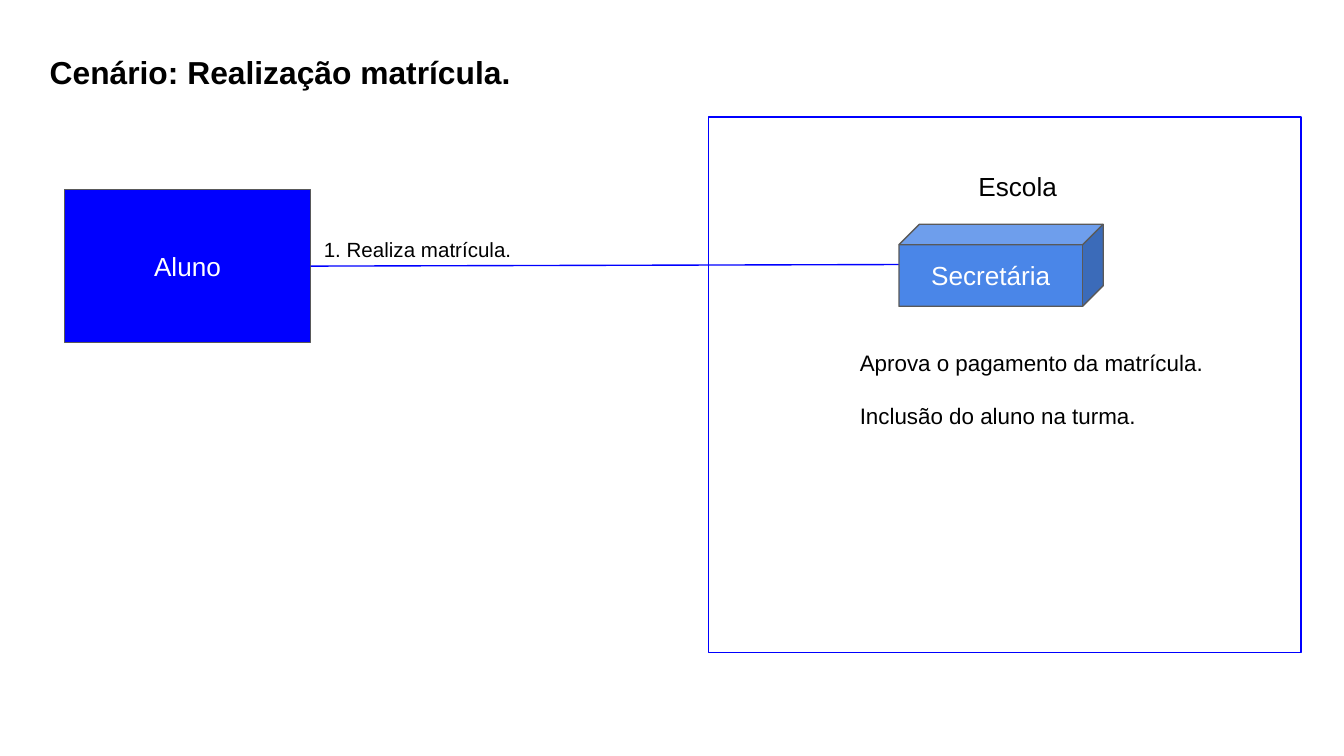
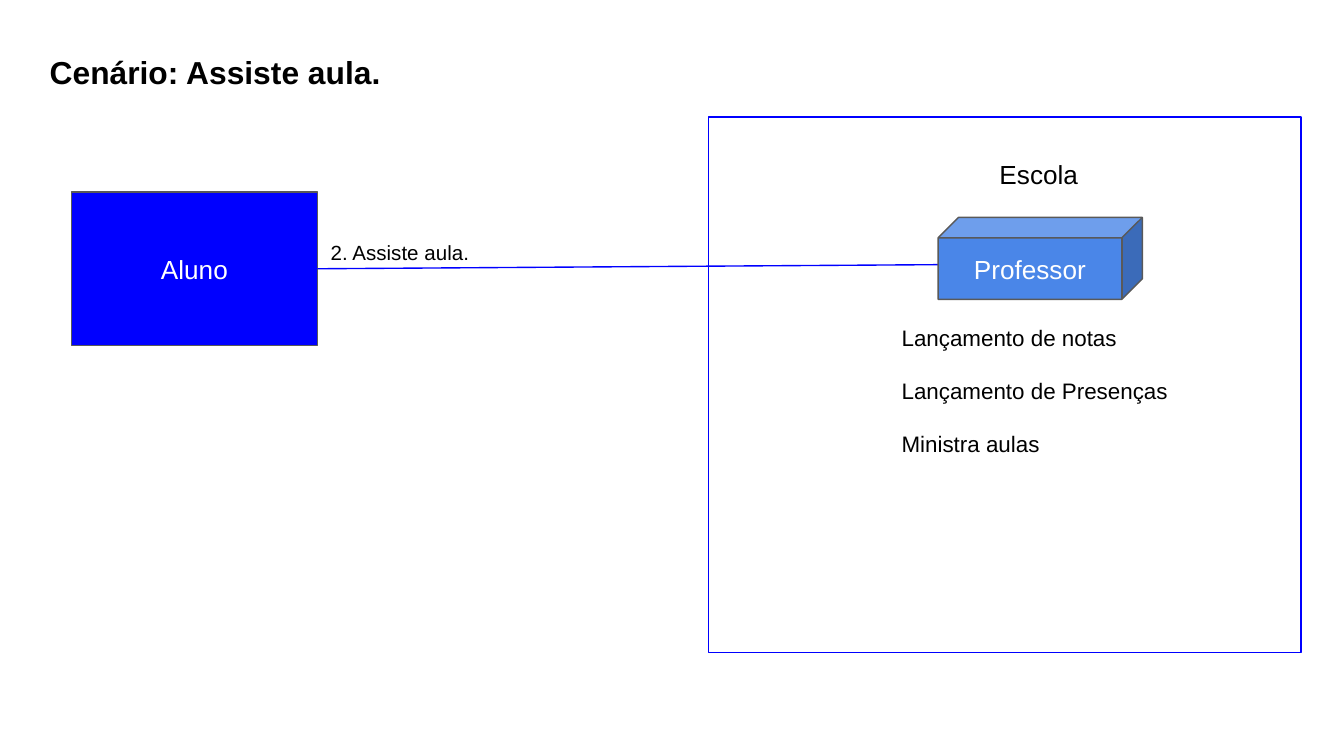
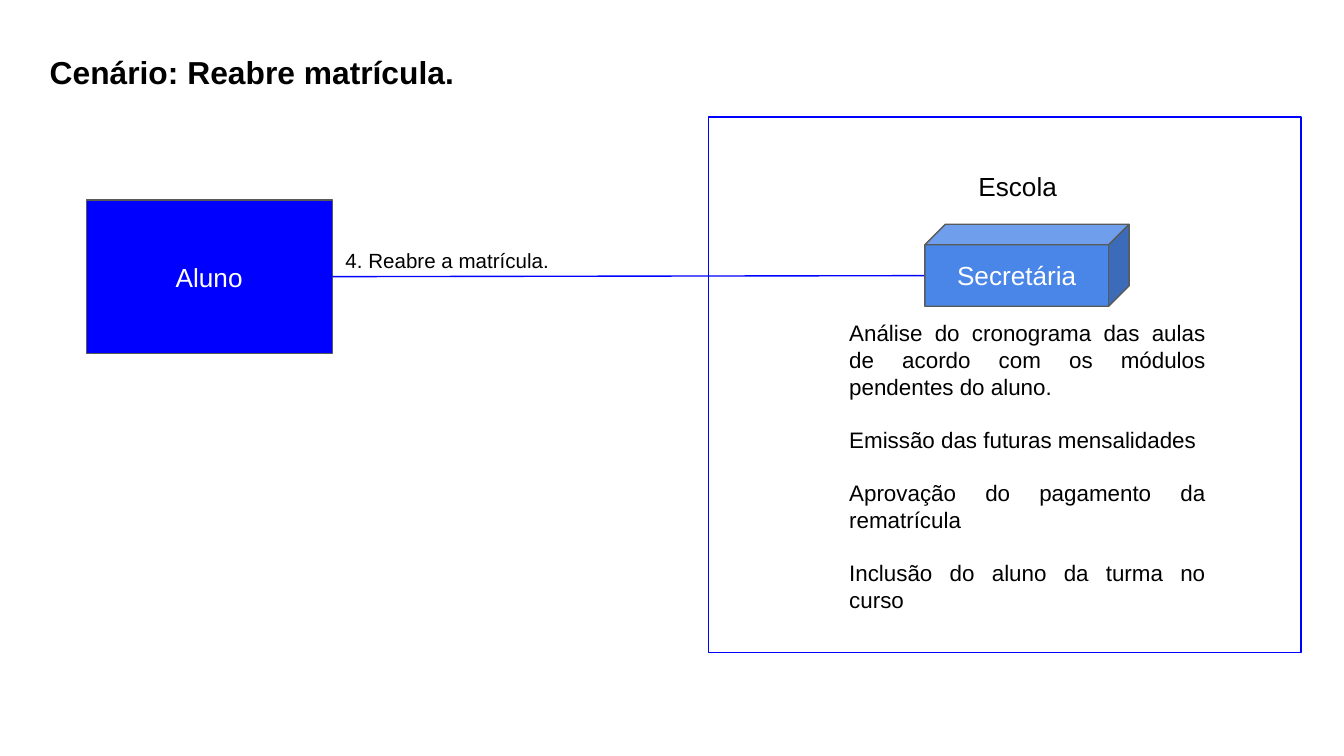
from lxml import etree
from pptx import Presentation
from pptx import util as u
from pptx.dml.color import RGBColor
from pptx.enum import shapes, text
from pptx.oxml.ns import qn

COLORS = {"white": "FFFFFF", "black": "000000", "blue": "0000FF",
          "sky": "4A86E8", "gray": "595959"}
FONT = "Arial"
INSET = 0.25
LINE_WIDTH = 0.75

# Sizes and fixed places, in centimetres
SLIDE_SIZE = (25.4, 14.29)
TITLE_AT = (0.69, 0.74)
TITLE_HEIGHT = 1.55
PANEL = (13.39, 2.21, 11.2, 10.13)
ACTOR_SIZE = (4.65, 2.9)
CUBE_SIZE = (3.86, 1.55)
LABEL_SIZE = (6.38, 1.17)
LABEL_DROP = 0.67
CAPTION_SIZE = (2.06, 1.75)

SCENARIOS = [
    dict(title="Cenário: Realização matrícula.", title_width=9.63,
         actor_at=(1.22, 3.58), action="1. Realiza matrícula.",
         caption_at=(18.24, 2.97), role="Secretária", role_at=(16.99, 4.24),
         link_end=(16.99, 5.0), tasks_box=(16.0, 6.35, 7.19, 1.75),
         align=text.PP_ALIGN.JUSTIFY,
         tasks=["Aprova o pagamento da matrícula.",
                "Inclusão do aluno na turma."]),
    dict(title="Cenário: Assiste aula.", title_width=9.63,
         actor_at=(1.35, 3.63), action="2. Assiste aula.",
         caption_at=(18.64, 2.74), role="Professor", role_at=(17.73, 4.11),
         link_end=(18.11, 5.0), tasks_box=(16.79, 5.87, 7.24, 1.27),
         align=text.PP_ALIGN.LEFT,
         tasks=["Lançamento de notas", "Lançamento de Presenças",
                "Ministra aulas"]),
    dict(title="Cenário: Reabre matrícula.", title_width=13.69,
         actor_at=(1.63, 3.78), action="4. Reabre a matrícula.",
         caption_at=(18.24, 2.97), role="Secretária", role_at=(17.48, 4.24),
         link_end=(17.48, 5.21), tasks_box=(15.8, 5.79, 7.24, 1.27),
         align=text.PP_ALIGN.JUSTIFY,
         tasks=["Análise do cronograma das aulas de acordo com os módulos "
                "pendentes do aluno.",
                "Emissão das futuras mensalidades",
                "Aprovação do pagamento da rematrícula",
                "Inclusão do aluno da turma no curso"]),
]


def rgb(name):
    return RGBColor.from_string(COLORS[name])


def cm(*lengths):
    return [u.Cm(length) for length in lengths]


def write(box, lines, size, color="black", bold=False,
          align=text.PP_ALIGN.LEFT, anchor=text.MSO_ANCHOR.TOP, gap=0):
    frame = box.text_frame
    frame.word_wrap = True
    frame.vertical_anchor = anchor
    frame.margin_left = frame.margin_right = u.Cm(INSET)
    frame.margin_top = frame.margin_bottom = u.Cm(INSET)
    for index, line in enumerate(lines):
        para = frame.paragraphs[0] if index == 0 else frame.add_paragraph()
        para.alignment = align
        para.space_before = u.Pt(gap if index else 0)
        span = para.add_run()
        span.text = line
        span.font.name = FONT
        span.font.size = u.Pt(size)
        span.font.bold = bold
        span.font.color.rgb = rgb(color)


def add_text(page, place, lines, size, **style):
    write(page.shapes.add_textbox(*cm(*place)), lines, size, **style)


def add_block(page, kind, place, fill, line, label=None):
    block = page.shapes.add_shape(kind, *cm(*place))
    block.shadow.inherit = False
    block.fill.solid()
    block.fill.fore_color.rgb = rgb(fill)
    block.line.color.rgb = rgb(line)
    block.line.width = u.Pt(LINE_WIDTH)
    if label:
        write(block, [label], 14, color="white", align=text.PP_ALIGN.CENTER,
              anchor=text.MSO_ANCHOR.MIDDLE)


def add_link(page, start, end):
    link = page.shapes.add_connector(shapes.MSO_CONNECTOR.STRAIGHT,
                                     *cm(*start, *end))
    link.line.color.rgb = rgb("blue")
    link.line.width = u.Pt(LINE_WIDTH)
    etree.SubElement(link._element.spPr, qn("a:effectLst"))


def add_scenario(deck, scene):
    page = deck.slides.add_slide(deck.slide_layouts[6])
    rectangle = shapes.MSO_SHAPE.RECTANGLE

    # School panel and title
    add_block(page, rectangle, PANEL, "white", "blue")
    add_text(page, (*TITLE_AT, scene["title_width"], TITLE_HEIGHT),
             [scene["title"]], 17, bold=True)

    # Student and the action that links to the school
    left, top = scene["actor_at"]
    width, height = ACTOR_SIZE
    right = left + width
    add_block(page, rectangle, (left, top, width, height), "blue", "gray", "Aluno")
    add_link(page, (right, top + height / 2), scene["link_end"])
    add_text(page, (right, top + LABEL_DROP, *LABEL_SIZE), [scene["action"]], 11)

    # School role and its tasks
    add_text(page, (*scene["caption_at"], *CAPTION_SIZE), ["Escola"], 14)
    add_block(page, shapes.MSO_SHAPE.CUBE, (*scene["role_at"], *CUBE_SIZE),
              "sky", "gray", scene["role"])
    add_text(page, scene["tasks_box"], scene["tasks"], 12,
             align=scene["align"], gap=14)


def main():
    deck = Presentation()
    deck.slide_width, deck.slide_height = cm(*SLIDE_SIZE)
    for scene in SCENARIOS:
        add_scenario(deck, scene)
    deck.save("out.pptx")


if __name__ == "__main__":
    main()
